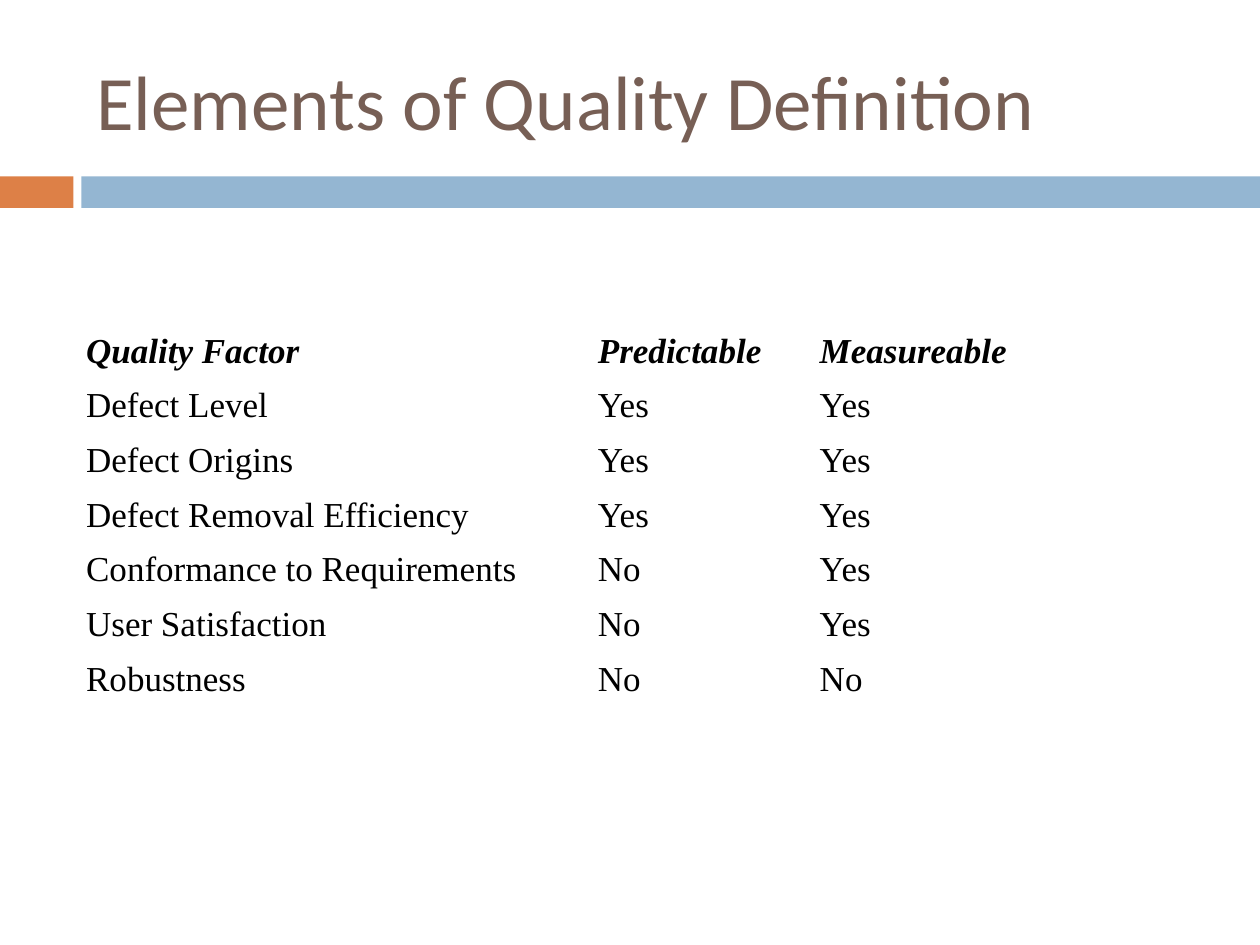
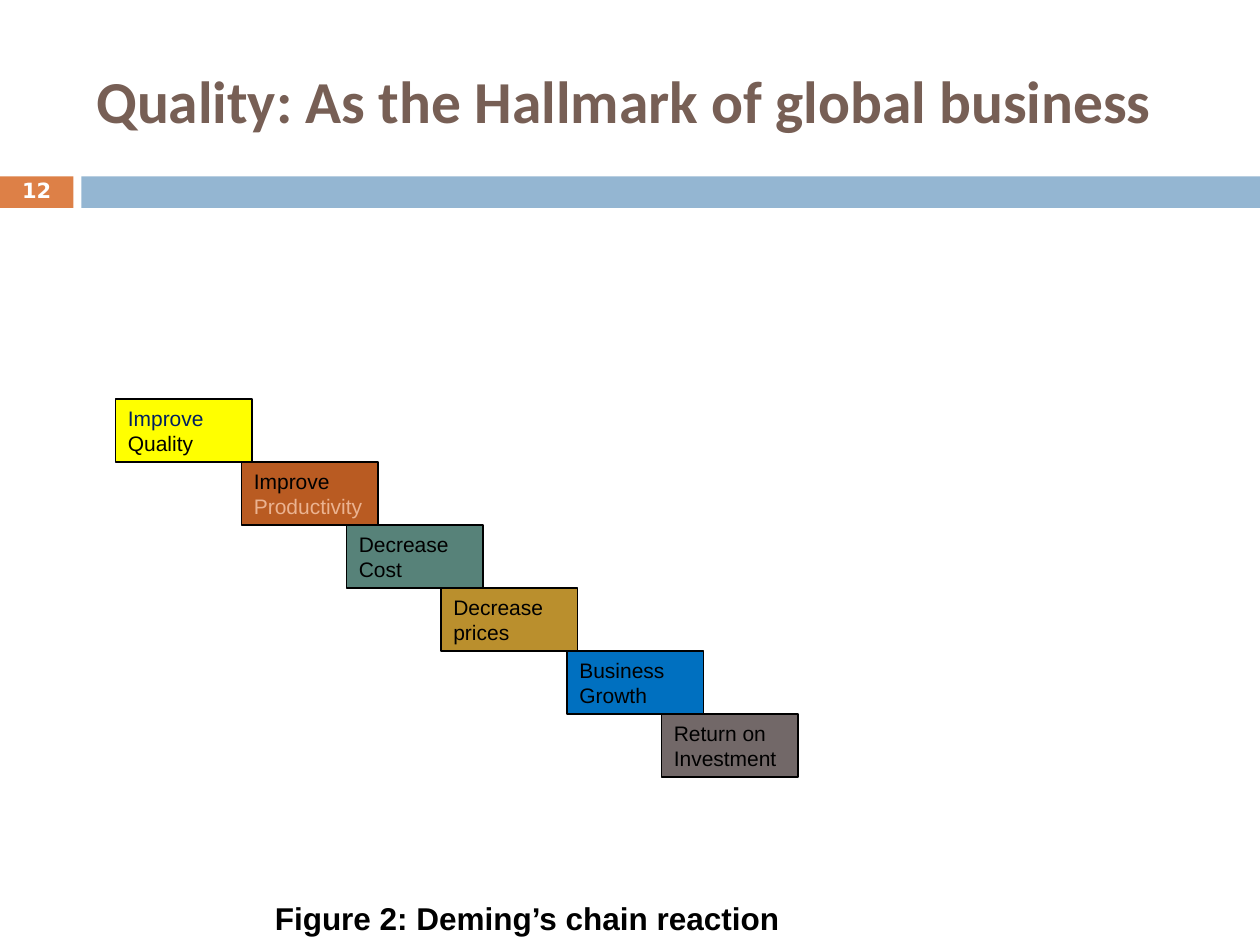
from dataclasses import dataclass

from pptx import Presentation
from pptx import util as u
from pptx.dml import color
from pptx.enum import shapes, text

FACTORS = [
    ("Quality Factor", "Predictable", "Measureable"),
    ("Defect Level", "Yes", "Yes"),
    ("Defect Origins", "Yes", "Yes"),
    ("Defect Removal Efficiency", "Yes", "Yes"),
    ("Conformance to Requirements", "No", "Yes"),
    ("User Satisfaction", "No", "Yes"),
    ("Robustness", "No", "No"),
]
# Left edge, fill, then (words, colour) runs
CHAIN = [
    (66, "FFFF00", [("Improve", "002060"), (" Quality", "000000")]),
    (138, "B95B22", [("Improve ", "000000"), ("Productivity", "EBB391")]),
    (198, "578279", [("Decrease Cost", "000000")]),
    (252, "BA8F2D", [("Decrease prices", "000000")]),
    (324, "0070C0", [("Business Growth", "000000")]),
    (378, "726868", [("Return on Investment", "000000")]),
]


@dataclass(frozen=True)
class Theme:
    ink: str = "000000"
    brown: str = "775F55"
    orange: str = "DD8047"
    blue: str = "94B6D2"
    white: str = "FFFFFF"
    title_font: str = "Calibri"
    table_font: str = "Times New Roman"
    number_font: str = "DejaVu Sans"
    body_font: str = "Arial"
    title_size: int = 44
    long_title_size: int = 34
    table_size: int = 20
    caption_size: int = 18
    small_size: int = 12


THEME = Theme()
MIDDLE = text.MSO_ANCHOR.MIDDLE


def box_at(*lengths):
    return [u.Pt(length) for length in lengths]


def write(frame, runs, font, paragraph_format=None):
    """Fill a frame's first paragraph with (words, colour) runs."""
    frame.word_wrap = True
    paragraph = frame.paragraphs[0]
    settings = {"alignment": text.PP_ALIGN.LEFT, **(paragraph_format or {})}
    for name, value in settings.items():
        setattr(paragraph, name, value)
    for words, rgb in runs:
        run = paragraph.add_run()
        run.text = words
        for name, value in font.items():
            setattr(run.font, name, value)
        run.font.color.rgb = color.RGBColor.from_string(rgb)


def add_text(slide, box, runs, font, paragraph_format=None,
             anchor=text.MSO_ANCHOR.TOP):
    frame = slide.shapes.add_textbox(*box_at(*box)).text_frame
    frame.vertical_anchor = anchor
    write(frame, runs, font, paragraph_format)


def add_rectangle(slide, box, fill, line=None):
    shape = slide.shapes.add_shape(shapes.MSO_SHAPE.RECTANGLE, *box_at(*box))
    shape.shadow.inherit = False
    shape.fill.solid()
    shape.fill.fore_color.rgb = color.RGBColor.from_string(fill)
    if line:
        shape.line.color.rgb = color.RGBColor.from_string(line)
        shape.line.width = u.Pt(0.75)
    else:
        shape.line.fill.background()
    return shape


def add_titled_slide(presentation, title, size, bold=False):
    slide = presentation.slides.add_slide(presentation.slide_layouts[6])
    add_rectangle(slide, (0, 100.8, 42, 18), THEME.orange)
    add_rectangle(slide, (46.5, 100.8, 673.5, 18), THEME.blue)
    font = {"name": THEME.title_font, "size": u.Pt(size), "bold": bold}
    add_text(slide, (48, 18, 642, 78), [(title, THEME.brown)], font,
             anchor=MIDDLE)
    return slide


def add_factor_table(slide):
    widths = (292.5, 126.75, 126.75)
    heights = [47.5] + [31.25] * (len(FACTORS) - 1)
    table = slide.shapes.add_table(
        len(FACTORS), len(widths),
        *box_at(42, 168, sum(widths), sum(heights))).table
    table.first_row = table.horz_banding = False
    for column, width in zip(table.columns, widths):
        column.width = u.Pt(width)
    for index, (row, height, values) in enumerate(
            zip(table.rows, heights, FACTORS)):
        row.height = u.Pt(height)
        heading = index == 0
        font = {"name": THEME.table_font, "size": u.Pt(THEME.table_size),
                "bold": heading, "italic": heading}
        for cell, value in zip(row.cells, values):
            cell.fill.background()
            cell.vertical_anchor = text.MSO_ANCHOR.BOTTOM
            write(cell.text_frame, [(value, THEME.ink)], font)


def add_chain(slide):
    width, height, top = 78, 36, 228
    font = {"name": THEME.body_font, "size": u.Pt(THEME.small_size)}
    for step, (left, fill, runs) in enumerate(CHAIN):
        box = (left, top + step * height, width, height)
        shape = add_rectangle(slide, box, fill, THEME.ink)
        shape.text_frame.vertical_anchor = text.MSO_ANCHOR.TOP
        write(shape.text_frame, runs, font, {"space_before": u.Pt(7.5)})


def main():
    presentation = Presentation()
    presentation.slide_width, presentation.slide_height = box_at(720, 540)

    slide = add_titled_slide(presentation, "Elements of Quality Definition",
                             THEME.title_size)
    add_factor_table(slide)

    slide = add_titled_slide(
        presentation, "Quality: As the Hallmark of global business",
        THEME.long_title_size, bold=True)
    add_text(slide, (0, 100, 42, 19.5), [("12", THEME.white)],
             {"name": THEME.number_font, "size": u.Pt(THEME.small_size),
              "bold": True},
             {"alignment": text.PP_ALIGN.CENTER, "line_spacing": 0.8}, MIDDLE)
    add_chain(slide)
    add_text(slide, (150, 510, 390, 29),
             [("Figure 2: Deming’s chain reaction", THEME.ink)],
             {"name": THEME.body_font, "size": u.Pt(THEME.caption_size),
              "bold": True}, {"space_before": u.Pt(11.2)})

    presentation.save("out.pptx")


if __name__ == "__main__":
    main()
